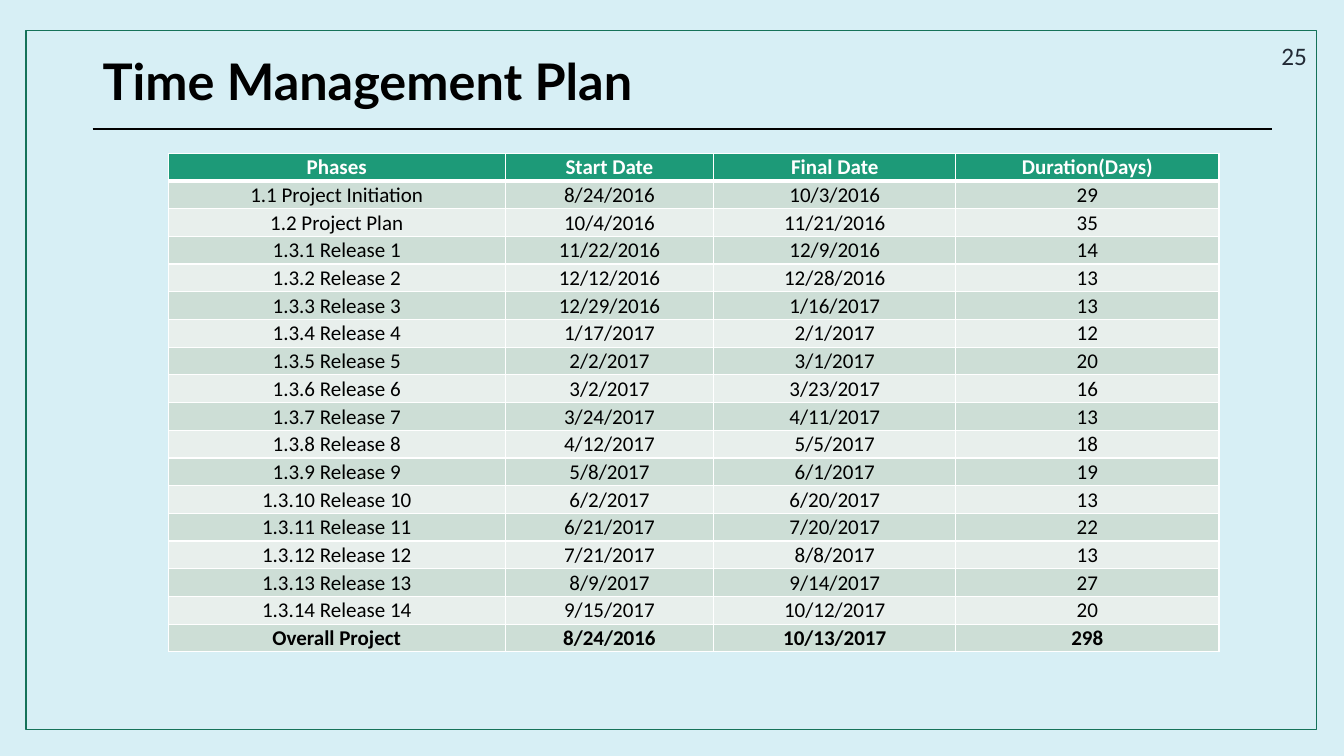
import pptx
import pptx.util
import pptx.dml.color
import pptx.enum.shapes
import pptx.enum.text
import pptx.oxml.ns
import lxml.etree

Inches, Pt = pptx.util.Inches, pptx.util.Pt
ALIGN, ANCHOR = pptx.enum.text.PP_ALIGN, pptx.enum.text.MSO_ANCHOR

# Content
TITLE = "Time Management Plan"
PAGE = "25"
HEADER = ("Phases", "Start Date", "Final Date", "Duration(Days)")
PHASES = [
    ("1.1 Project Initiation", "8/24/2016", "10/3/2016", "29"),
    ("1.2 Project Plan", "10/4/2016", "11/21/2016", "35"),
    ("1.3.1 Release 1", "11/22/2016", "12/9/2016", "14"),
    ("1.3.2 Release 2", "12/12/2016", "12/28/2016", "13"),
    ("1.3.3 Release 3", "12/29/2016", "1/16/2017", "13"),
    ("1.3.4 Release 4", "1/17/2017", "2/1/2017", "12"),
    ("1.3.5 Release 5", "2/2/2017", "3/1/2017", "20"),
    ("1.3.6 Release 6", "3/2/2017", "3/23/2017", "16"),
    ("1.3.7 Release 7", "3/24/2017", "4/11/2017", "13"),
    ("1.3.8 Release 8", "4/12/2017", "5/5/2017", "18"),
    ("1.3.9 Release 9", "5/8/2017", "6/1/2017", "19"),
    ("1.3.10 Release 10", "6/2/2017", "6/20/2017", "13"),
    ("1.3.11 Release 11", "6/21/2017", "7/20/2017", "22"),
    ("1.3.12 Release 12", "7/21/2017", "8/8/2017", "13"),
    ("1.3.13 Release 13", "8/9/2017", "9/14/2017", "27"),
    ("1.3.14 Release 14", "9/15/2017", "10/12/2017", "20"),
]
TOTAL = ("Overall Project", "8/24/2016", "10/13/2017", "298")
COLUMN_WIDTHS = (3.34, 2.07, 2.4, 2.61)
TABLE_LEFT, TABLE_TOP, TABLE_HEIGHT = 1.67, 1.52, 4.95


class Theme:
    background, frame = "D7EFF5", "157259"
    ink, page_ink, white = "000000", "222A35", "FFFFFF"
    header, bands = "1D9A78", ("E8EFEC", "CDDED6")
    title_font, body_font = "Lato", "Calibri"
    title_size, page_size, table_size = 36, 18, 15


def rgb(value):
    return pptx.dml.color.RGBColor.from_string(value)


def add_run(p, text, font, size, color, bold=False):
    r = p.add_run()
    r.text = text
    r.font.name, r.font.size, r.font.bold = font, Pt(size), bold
    r.font.color.rgb = rgb(color)


def add_text(s, box, text, font, size, color, bold=False, align=ALIGN.LEFT):
    tf = s.shapes.add_textbox(*map(Inches, box)).text_frame
    tf.word_wrap = True
    tf.vertical_anchor = ANCHOR.MIDDLE
    p = tf.paragraphs[0]
    p.alignment = align
    add_run(p, text, font, size, color, bold)
    return p


def set_borders(cell, top, bottom):
    tc_pr = cell._tc.get_or_add_tcPr()
    qn = pptx.oxml.ns.qn
    for side, width in (("L", 1), ("R", 1), ("T", top), ("B", bottom)):
        ln = lxml.etree.SubElement(tc_pr, qn(f"a:ln{side}"), w=str(Pt(width)))
        fill = lxml.etree.SubElement(ln, qn("a:solidFill"))
        lxml.etree.SubElement(fill, qn("a:srgbClr"), val=Theme.white)


def fill_cell(cell, text, row, last_row):
    is_header = row == 0
    set_borders(cell, 3 if row == 1 else 1, 3 if is_header else 1)
    cell.fill.solid()
    cell.fill.fore_color.rgb = rgb(Theme.header if is_header else Theme.bands[row % 2])
    cell.margin_left = cell.margin_right = cell.margin_top = Inches(0.01)
    cell.margin_bottom = 0
    cell.vertical_anchor = ANCHOR.MIDDLE
    p = cell.text_frame.paragraphs[0]
    p.alignment = ALIGN.CENTER
    add_run(p, text, Theme.body_font, Theme.table_size,
            Theme.white if is_header else Theme.ink, row in (0, last_row))


def main():
    prs = pptx.Presentation()
    prs.slide_width, prs.slide_height = Inches(13.33), Inches(7.5)
    s = prs.slides.add_slide(prs.slide_layouts[6])
    s.background.fill.solid()
    s.background.fill.fore_color.rgb = rgb(Theme.background)

    # Title and the rule below it
    p = add_text(s, (0.92, 0.4, 11.5, 0.88), TITLE, Theme.title_font,
                 Theme.title_size, Theme.ink, bold=True)
    p.line_spacing = 0.9
    rule = s.shapes.add_connector(
        pptx.enum.shapes.MSO_CONNECTOR.STRAIGHT,
        Inches(0.92), Inches(1.28), Inches(12.62), Inches(1.28))
    rule.line.color.rgb = rgb(Theme.ink)
    rule.line.width = Pt(1.5)
    lxml.etree.SubElement(rule._element.spPr, pptx.oxml.ns.qn("a:effectLst"))

    # Slide frame
    frame = s.shapes.add_shape(pptx.enum.shapes.MSO_SHAPE.RECTANGLE,
                               *map(Inches, (0.26, 0.3, 12.8, 6.94)))
    frame.shadow.inherit = False
    frame.fill.background()
    frame.line.color.rgb = rgb(Theme.frame)
    frame.line.width = Pt(1)

    # Schedule table
    rows = [HEADER, *PHASES, TOTAL]
    table = s.shapes.add_table(
        len(rows), len(HEADER), Inches(TABLE_LEFT), Inches(TABLE_TOP),
        Inches(sum(COLUMN_WIDTHS)), Inches(TABLE_HEIGHT)).table
    for column, width in zip(table.columns, COLUMN_WIDTHS):
        column.width = Inches(width)
    for i, values in enumerate(rows):
        table.rows[i].height = Inches(TABLE_HEIGHT / len(rows))
        for j, text in enumerate(values):
            fill_cell(table.cell(i, j), text, i, len(rows) - 1)

    # Page number
    add_text(s, (10.06, 0.35, 3, 0.4), PAGE, Theme.body_font,
             Theme.page_size, Theme.page_ink, align=ALIGN.RIGHT)

    prs.save("out.pptx")


if __name__ == "__main__":
    main()
